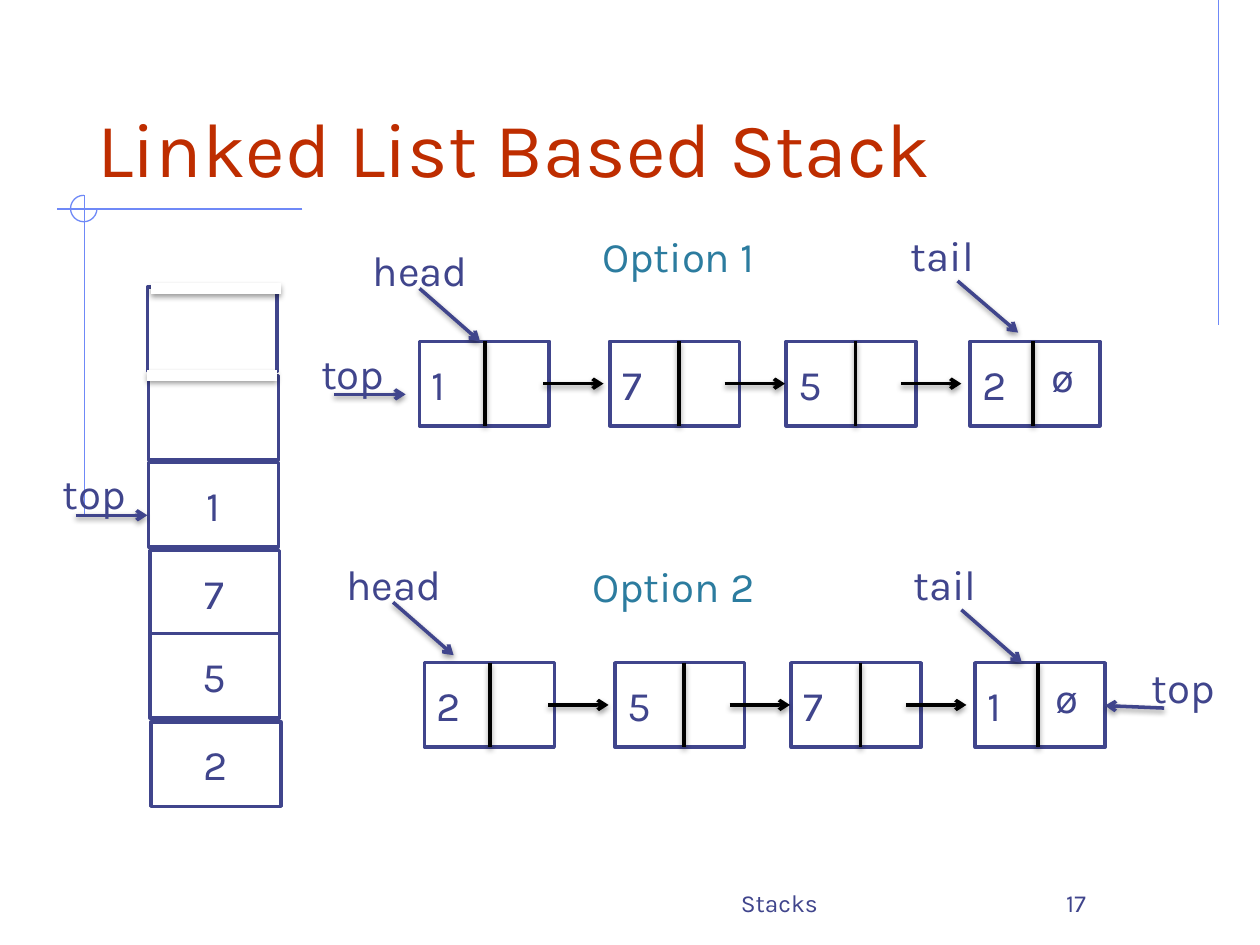
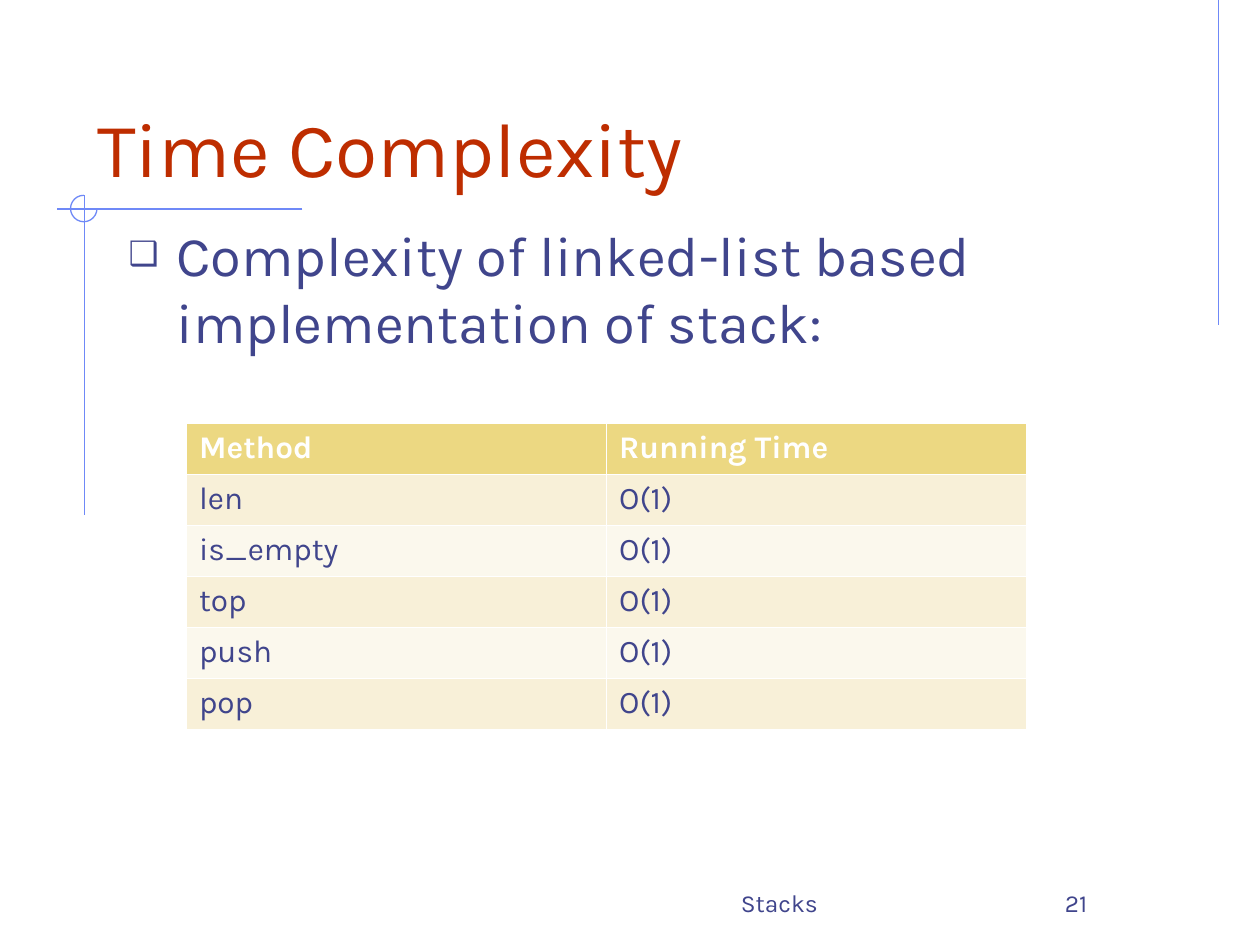
from typing import NamedTuple

from lxml import etree
from pptx import Presentation
from pptx.dml.color import RGBColor
from pptx.enum.shapes import MSO_CONNECTOR, MSO_SHAPE
from pptx.enum.text import MSO_ANCHOR, MSO_AUTO_SIZE, PP_ALIGN
from pptx.oxml.ns import qn
from pptx.util import Inches, Pt

LEFT, CENTER, RIGHT = PP_ALIGN.LEFT, PP_ALIGN.CENTER, PP_ALIGN.RIGHT
TOP, MIDDLE, BOTTOM = MSO_ANCHOR.TOP, MSO_ANCHOR.MIDDLE, MSO_ANCHOR.BOTTOM
STRAIGHT = MSO_CONNECTOR.STRAIGHT
RECTANGLE, ARC = MSO_SHAPE.RECTANGLE, MSO_SHAPE.ARC
NO_AUTOFIT = MSO_AUTO_SIZE.NONE

FONT = "Karla"
INK = "40458C"
TITLE_RED = "BE2D00"
RULE_BLUE = "6F89F7"
OPTION_TEAL = "2C7C9F"
WHITE = "FFFFFF"
BLACK = "000000"
HEADER_GOLD = "ECD882"
ROW_FILLS = ("F8F0D8", "FBF8ED")

TITLE_ONLY, TITLE_AND_BODY = 5, 1
CELL_WIDTH, CELL_HEIGHT = 1.03, 0.67


class Label(NamedTuple):
    text: str
    left: float
    top: float
    width: float = 0.95
    height: float = 0.4
    color: str = INK
    wrap: bool = True


class Line(NamedTuple):
    x1: float
    y1: float
    x2: float
    y2: float
    color: str = INK
    width: float = 2
    arrow: bool = False
    shadow: bool = True


class StackCell(NamedTuple):
    left: float
    top: float
    text: str = ""


class ListRow(NamedTuple):
    left: float
    top: float
    values: tuple


FRAME_RULES = [
    Line(9.67, 0, 9.67, 2.58, RULE_BLUE, 0.75, shadow=False),
    Line(2.4, 1.66, 0.45, 1.66, RULE_BLUE, 0.75, shadow=False),
    Line(0.67, 1.55, 0.67, 4.09, RULE_BLUE, 0.75, shadow=False),
]

STACK = [
    StackCell(1.17, 2.28), StackCell(1.18, 2.98), StackCell(1.18, 3.67, "1"),
    StackCell(1.19, 4.37, "7"), StackCell(1.19, 5.03, "5"), StackCell(1.2, 5.73, "2"),
]
STACK_COVERS = [
    Line(1.17, 2.98, 2.2, 2.98, WHITE, 6),
    Line(1.2, 2.29, 2.23, 2.29, WHITE, 6),
]

# Offsets from the left edge of a linked list
NODE_OFFSETS = (0, 1.51, 2.91, 4.37)
DIVIDER_OFFSETS = (0.52, 2.06, 3.46, 4.87)
LINK_OFFSETS = (0.98, 2.42, 3.82)
LINK_LENGTH = 0.48
LISTS = [
    ListRow(3.33, 2.71, ("1", "7", "5", "2")),
    ListRow(3.37, 5.26, ("2", "5", "7", "1")),
]

POINTERS = [
    Line(0.6, 4.09, 1.17, 4.09, arrow=True),
    Line(3.33, 2.29, 3.81, 2.71, arrow=True),
    Line(2.65, 3.13, 3.22, 3.13, arrow=True),
    Line(7.6, 2.23, 8.08, 2.64, arrow=True),
    Line(3.12, 4.78, 3.6, 5.2, arrow=True),
    Line(7.63, 4.84, 8.11, 5.26, arrow=True),
    Line(9.24, 5.62, 8.77, 5.6, arrow=True),
]
LABELS = [
    Label("top", 0.4, 3.66),
    Label("head", 2.86, 1.89),
    Label("Option 1", 4.68, 1.78, 2.52, 0.5, OPTION_TEAL),
    Label("tail", 7.13, 1.77),
    Label("top", 2.45, 2.71),
    Label("ø", 8.25, 2.73, 0.39, 0.5, wrap=False),
    Label("head", 2.65, 4.38),
    Label("Option 2", 4.6, 4.4, 2.52, 0.5, OPTION_TEAL),
    Label("tail", 7.15, 4.38),
    Label("top", 9.04, 5.2),
    Label("ø", 8.28, 5.28, 0.38, 0.5, wrap=False),
]

RUNNING_TIMES = [("Method", "Running Time")] + [
    (method, "O(1)") for method in ("len", "is_empty", "top", "push", "pop")
]


def rgb(color: str) -> RGBColor:
    return RGBColor.from_string(color)


def style_paragraph(para, size: float, color: str, align=LEFT, bold: bool = False) -> None:
    para.alignment = align
    font = para.font
    font.name, font.size, font.bold = FONT, Pt(size), bold
    font.color.rgb = rgb(color)


def place(shape, left: float, top: float, width: float, height: float) -> None:
    shape.left, shape.top = Inches(left), Inches(top)
    shape.width, shape.height = Inches(width), Inches(height)


def add_label(slide, label: Label, size: float = 24, align=LEFT, anchor=TOP) -> None:
    box = slide.shapes.add_textbox(
        Inches(label.left), Inches(label.top), Inches(label.width), Inches(label.height))
    frame = box.text_frame
    frame.word_wrap, frame.vertical_anchor = label.wrap, anchor
    frame.text = label.text
    style_paragraph(frame.paragraphs[0], size, label.color, align)


def add_line(slide, line: Line) -> None:
    connector = slide.shapes.add_connector(
        STRAIGHT, Inches(line.x1), Inches(line.y1), Inches(line.x2), Inches(line.y2))
    connector.line.color.rgb = rgb(line.color)
    connector.line.width = Pt(line.width)
    properties = connector._element.spPr
    if line.arrow:
        etree.SubElement(properties.find(qn("a:ln")), qn("a:tailEnd"), type="arrow")
    effects = etree.SubElement(properties, qn("a:effectLst"))
    if line.shadow:
        shadow = etree.SubElement(effects, qn("a:outerShdw"), blurRad="40000",
                                  dist="20000", dir="5400000", rotWithShape="0")
        tint = etree.SubElement(shadow, qn("a:srgbClr"), val=BLACK)
        etree.SubElement(tint, qn("a:alpha"), val="38000")


def add_cell(slide, cell: StackCell, align=LEFT) -> None:
    box = slide.shapes.add_shape(RECTANGLE, Inches(cell.left), Inches(cell.top),
                                 Inches(CELL_WIDTH), Inches(CELL_HEIGHT))
    box.shadow.inherit = False
    box.fill.solid()
    box.fill.fore_color.rgb = rgb(WHITE)
    box.line.color.rgb = rgb(INK)
    box.line.width = Pt(2)
    if cell.text:
        frame = box.text_frame
        frame.vertical_anchor = MIDDLE
        frame.text = cell.text
        style_paragraph(frame.paragraphs[0], 24, INK, align)


def add_page(deck, layout: int, title: str, number: int):
    slide = deck.slides.add_slide(deck.slide_layouts[layout])

    # Corner rules with a three-quarter circle
    for rule in FRAME_RULES:
        add_line(slide, rule)
    arc = slide.shapes.add_shape(ARC, Inches(0.56), Inches(1.55), Inches(0.21), Inches(0.21))
    arc.adjustments[0], arc.adjustments[1] = 0, 162
    arc.shadow.inherit = False
    arc.fill.background()
    arc.line.color.rgb = rgb(RULE_BLUE)
    arc.line.width = Pt(0.75)

    # Title
    heading = slide.shapes.title
    place(heading, 0.67, 0.33, 8.5, 1.25)
    frame = heading.text_frame
    frame.text = title
    frame.vertical_anchor, frame.auto_size = BOTTOM, NO_AUTOFIT
    style_paragraph(frame.paragraphs[0], 44, TITLE_RED)

    # Footer
    add_label(slide, Label(str(number), 7.5, 6.83, 2.08, 0.5), 14, CENTER, BOTTOM)
    add_label(slide, Label("Stacks", 3.92, 6.83, 2.67, 0.5), 14, RIGHT, BOTTOM)
    return slide


def add_linked_list(slide, row: ListRow) -> None:
    for offset, value in zip(NODE_OFFSETS, row.values):
        add_cell(slide, StackCell(row.left + offset, row.top, value))
    for offset in LINK_OFFSETS:
        start, middle = row.left + offset, row.top + CELL_HEIGHT / 2
        add_line(slide, Line(start, middle, start + LINK_LENGTH, middle, BLACK, arrow=True))
    for offset in DIVIDER_OFFSETS:
        x = row.left + offset
        add_line(slide, Line(x, row.top, x, row.top + CELL_HEIGHT, BLACK))


def build_stack_page(deck) -> None:
    slide = add_page(deck, TITLE_ONLY, "Linked List Based Stack", 17)
    for cell in STACK:
        add_cell(slide, cell, CENTER)
    for row in LISTS:
        add_linked_list(slide, row)
    for line in STACK_COVERS + POINTERS:
        add_line(slide, line)
    for label in LABELS:
        add_label(slide, label)


def add_bullet(para) -> None:
    properties = para._p.get_or_add_pPr()
    properties.set("marL", str(Inches(0.38)))
    properties.set("indent", str(-Inches(0.38)))
    color = etree.SubElement(properties, qn("a:buClr"))
    etree.SubElement(color, qn("a:srgbClr"), val=INK)
    etree.SubElement(properties, qn("a:buSzPct"), val="60000")
    etree.SubElement(properties, qn("a:buChar"), char="❑")


def build_complexity_page(deck) -> None:
    slide = add_page(deck, TITLE_AND_BODY, "Time Complexity", 21)

    # Bullet text
    body = slide.placeholders[1]
    place(body, 0.92, 1.7, 8.5, 1.25)
    frame = body.text_frame
    frame.text = "Complexity of linked-list based implementation of stack:"
    frame.auto_size = NO_AUTOFIT
    add_bullet(frame.paragraphs[0])
    style_paragraph(frame.paragraphs[0], 32, INK)

    # Running times
    table = slide.shapes.add_table(len(RUNNING_TIMES), 2, Inches(1.48), Inches(3.36),
                                   Inches(6.67), Inches(2.43)).table
    for row_index, texts in enumerate(RUNNING_TIMES):
        header = row_index == 0
        for column_index, text in enumerate(texts):
            cell = table.cell(row_index, column_index)
            cell.text = text
            cell.fill.solid()
            fill = HEADER_GOLD if header else ROW_FILLS[(row_index - 1) % 2]
            cell.fill.fore_color.rgb = rgb(fill)
            style_paragraph(cell.text_frame.paragraphs[0], 18,
                            WHITE if header else INK, bold=header)


def main() -> None:
    deck = Presentation()
    deck.slide_width, deck.slide_height = Inches(10), Inches(7.5)
    build_stack_page(deck)
    build_complexity_page(deck)
    deck.save("out.pptx")


if __name__ == "__main__":
    main()
